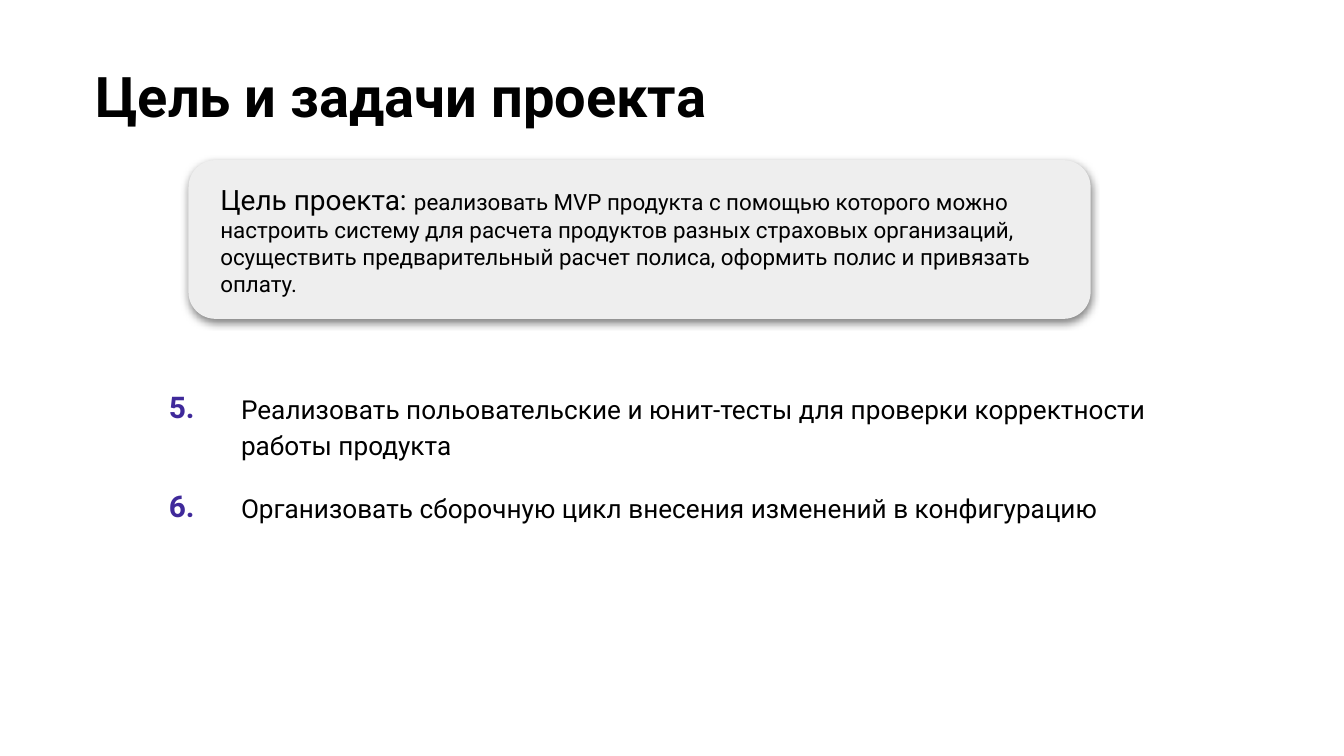
from pptx import Presentation
from pptx.dml.color import RGBColor
from pptx.enum.shapes import MSO_SHAPE
from pptx.enum.text import MSO_ANCHOR, PP_ALIGN
from pptx.oxml import parse_xml
from pptx.util import Pt

BLACK = RGBColor(0x00, 0x00, 0x00)
VIOLET = RGBColor(0x3F, 0x29, 0x9A)
LIGHT_GRAY = RGBColor(0xEE, 0xEE, 0xEE)
ROUNDED = MSO_SHAPE.ROUNDED_RECTANGLE
MIDDLE = MSO_ANCHOR.MIDDLE
LEFT = PP_ALIGN.LEFT
FONT = "Roboto"
SHADOW = (
    '<a:effectLst xmlns:a="http://schemas.openxmlformats.org/drawingml/2006/main">'
    '<a:outerShdw blurRad="57150" dist="19050" dir="5400000" algn="bl" rotWithShape="0">'
    '<a:srgbClr val="000000"><a:alpha val="50000"/></a:srgbClr>'
    '</a:outerShdw></a:effectLst>'
)


def add_run(paragraph, text, size, color=BLACK, bold=False):
    run = paragraph.add_run()
    run.text = text
    run.font.name = FONT
    run.font.size = Pt(size)
    run.font.bold = bold
    run.font.color.rgb = color


def set_margins(target, side, right=None):
    target.margin_left = Pt(side)
    target.margin_right = Pt(side if right is None else right)
    target.margin_top = target.margin_bottom = Pt(7.2)


prs = Presentation()
prs.slide_width = Pt(720)
prs.slide_height = Pt(405)
slide = prs.slides.add_slide(prs.slide_layouts[6])

title = slide.shapes.add_textbox(Pt(44), Pt(26), Pt(671), Pt(103)).text_frame
title.word_wrap = True
set_margins(title, 7.2)
add_run(title.paragraphs[0], "Цель и задачи проекта", 30, bold=True)

tasks = [
    ("5.", "Реализовать польовательские и юнит-тесты для проверки корректности работы продукта"),
    ("6.", "Организовать сборочную цикл внесения изменений в конфигурацию"),
]
row_heights = [47.5, 47.5, 65, 47.5, 31.5]
task_table = slide.shapes.add_table(
    len(row_heights), 2, Pt(74.7), Pt(202.2), Pt(570), Pt(sum(row_heights))
).table
task_table.first_row = False
task_table.horz_banding = False
task_table.columns[0].width = Pt(38.7)
task_table.columns[1].width = Pt(531.3)
for row, height in zip(task_table.rows, row_heights):
    row.height = Pt(height)
    for cell in row.cells:
        cell.fill.background()
        set_margins(cell, 15.75, right=7.2)
for row, (number, task) in zip(task_table.rows, tasks):
    number_cell, task_cell = row.cells
    add_run(number_cell.text_frame.paragraphs[0], number, 16, VIOLET, True)
    task_paragraph = task_cell.text_frame.paragraphs[0]
    task_paragraph.line_spacing = 1.15
    add_run(task_paragraph, task, 14)

goal = slide.shapes.add_shape(ROUNDED, Pt(101), Pt(85.8), Pt(483.3), Pt(85))
goal.adjustments[0] = 0.17
goal.fill.solid()
goal.fill.fore_color.rgb = LIGHT_GRAY
goal.line.fill.background()
goal._element.spPr.append(parse_xml(SHADOW))
goal_text = goal.text_frame
goal_text.word_wrap = True
goal_text.vertical_anchor = MIDDLE
set_margins(goal_text, 12.8)
goal_paragraph = goal_text.paragraphs[0]
goal_paragraph.alignment = LEFT
add_run(goal_paragraph, "Цель проекта: ", 15)
add_run(
    goal_paragraph,
    "реализовать MVP продукта с помощью которого можно настроить систему для расчета "
    "продуктов разных страховых организаций, осуществить предварительный расчет полиса, "
    "оформить полис и привязать оплату.",
    12,
)

prs.save("out.pptx")
